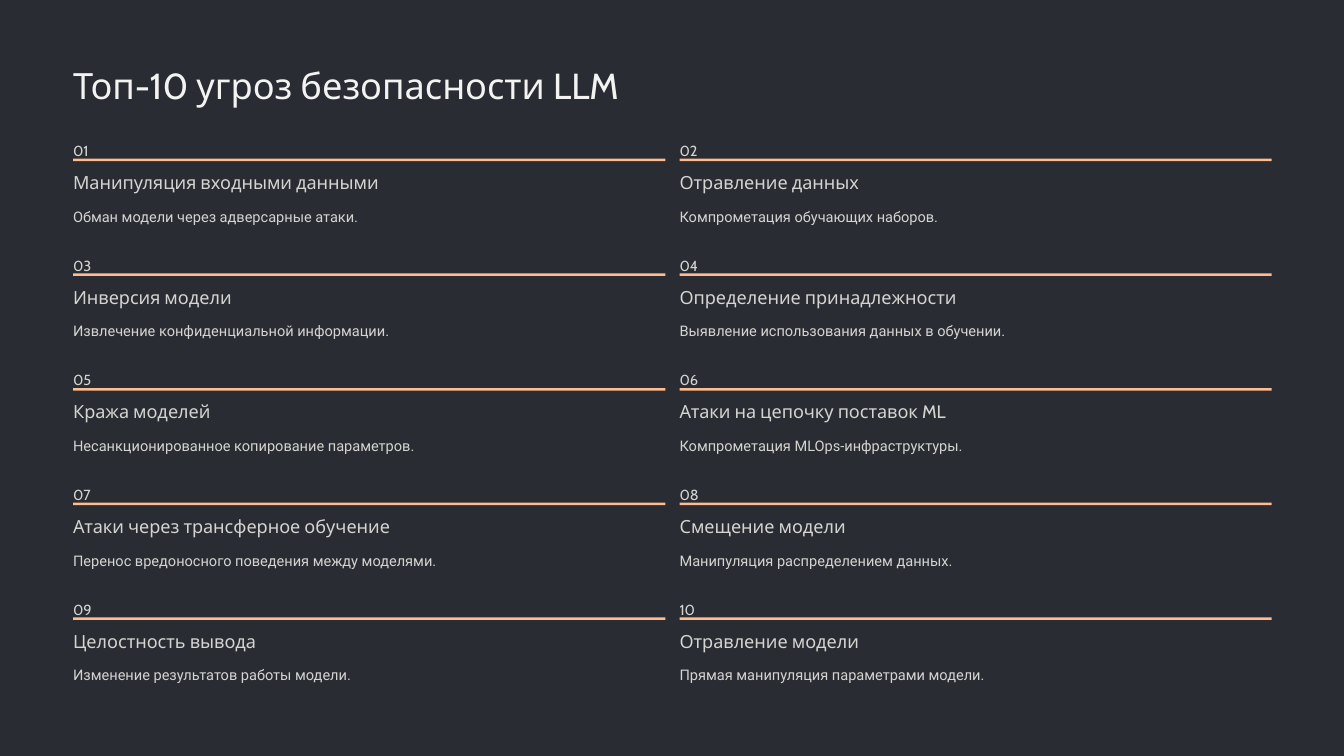
from pptx import Presentation
from pptx.dml.color import RGBColor
from pptx.enum.shapes import MSO_SHAPE as Shape
from pptx.enum.text import MSO_ANCHOR as Anchor, MSO_AUTO_SIZE as AutoSize, PP_ALIGN as Align
from pptx.util import Inches, Pt

BACKGROUND = RGBColor(0x29, 0x2C, 0x32)
TITLE_COLOR = RGBColor(0xF3, 0xF3, 0xF2)
TEXT_COLOR = RGBColor(0xD4, 0xD4, 0xD1)
ACCENT = RGBColor(0xFF, 0xBC, 0x8F)

LEFT, TOP = 0.87, 1.62
COLUMN_WIDTH, COLUMN_STEP, ROW_STEP = 7.05, 7.22, 1.365

THREATS = [
    ("Манипуляция входными данными", "Обман модели через адверсарные атаки."),
    ("Отравление данных", "Компрометация обучающих наборов."),
    ("Инверсия модели", "Извлечение конфиденциальной информации."),
    ("Определение принадлежности", "Выявление использования данных в обучении."),
    ("Кража моделей", "Несанкционированное копирование параметров."),
    ("Атаки на цепочку поставок ML", "Компрометация MLOps-инфраструктуры."),
    ("Атаки через трансферное обучение", "Перенос вредоносного поведения между моделями."),
    ("Смещение модели", "Манипуляция распределением данных."),
    ("Целостность вывода", "Изменение результатов работы модели."),
    ("Отравление модели", "Прямая манипуляция параметрами модели."),
]


def write_text(text, left, top, width, height, shape=None, size=12.5,
               spacing=20, font="Cabin", color=TEXT_COLOR):
    box = (Inches(left), Inches(top), Inches(width), Inches(height))
    if shape is None:
        shape = slide.shapes.add_textbox(*box)
    else:
        shape.left, shape.top, shape.width, shape.height = box
    frame = shape.text_frame
    frame.margin_left = frame.margin_top = frame.margin_right = frame.margin_bottom = 0
    frame.word_wrap = True
    frame.auto_size = AutoSize.NONE
    frame.vertical_anchor = Anchor.TOP
    paragraph = frame.paragraphs[0]
    paragraph.alignment = Align.LEFT
    paragraph.line_spacing = Pt(spacing)
    run = paragraph.add_run()
    run.text = text
    run.font.name = font
    run.font.size = Pt(size)
    run.font.color.rgb = color


# Slide with a dark background
presentation = Presentation()
presentation.slide_width, presentation.slide_height = Inches(16), Inches(9)
slide = presentation.slides.add_slide(presentation.slide_layouts[5])
slide.background.fill.solid()
slide.background.fill.fore_color.rgb = BACKGROUND

# Title
write_text("Топ-10 угроз безопасности LLM", LEFT, 0.73, 14.27, 0.54,
           shape=slide.shapes.title, size=31, spacing=39, color=TITLE_COLOR)

# Threats in two columns, numbered row by row
for index, (threat, description) in enumerate(THREATS):
    row, column = divmod(index, 2)
    left = LEFT + column * COLUMN_STEP
    top = TOP + row * ROW_STEP

    write_text(f"{index + 1:02d}", left, top, 0.3, 0.22)

    rule = slide.shapes.add_shape(Shape.RECTANGLE, Inches(left), Inches(top + 0.27),
                                  Inches(COLUMN_WIDTH), Inches(0.03))
    rule.shadow.inherit = False
    rule.fill.solid()
    rule.fill.fore_color.rgb = ACCENT
    rule.line.fill.background()

    write_text(threat, left, top + 0.41, COLUMN_WIDTH, 0.27, size=15.5, spacing=19.5)
    write_text(description, left, top + 0.78, COLUMN_WIDTH, 0.28, font="Roboto")

presentation.save("out.pptx")
